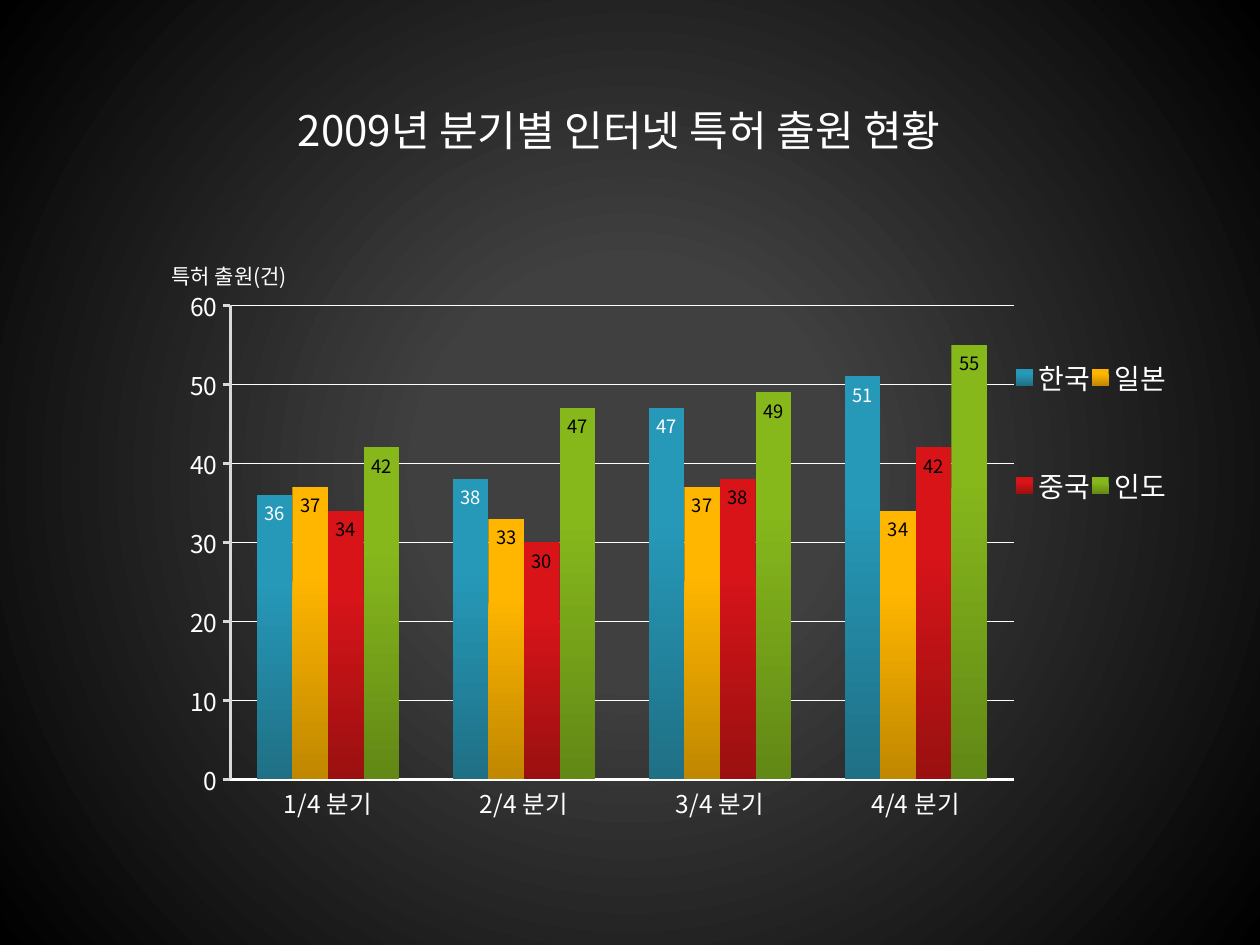
from dataclasses import dataclass

from lxml import etree
from pptx import Presentation
from pptx.chart.data import CategoryChartData
from pptx.dml.color import RGBColor
from pptx.enum.chart import (XL_CHART_TYPE, XL_LABEL_POSITION,
                             XL_LEGEND_POSITION, XL_TICK_MARK)
from pptx.enum.text import MSO_ANCHOR, PP_ALIGN
from pptx.oxml import parse_xml
from pptx.oxml.ns import nsdecls, qn
from pptx.util import Pt

CLUSTERED = XL_CHART_TYPE.COLUMN_CLUSTERED
INSIDE_END = XL_LABEL_POSITION.INSIDE_END
LEGEND_RIGHT = XL_LEGEND_POSITION.RIGHT
TICK_NONE, TICK_OUT = XL_TICK_MARK.NONE, XL_TICK_MARK.OUTSIDE
CENTER, TOP = PP_ALIGN.CENTER, MSO_ANCHOR.TOP


@dataclass(frozen=True)
class Theme:
    font: str = "Noto Sans CJK KR"
    white: str = "FFFFFF"
    black: str = "000000"
    glow: str = "404040"
    axis: str = "D9D9D9"
    title: float = 24
    chart: float = 18
    legend: float = 16
    tick: float = 14
    axis_title: float = 12
    label: float = 10.5


@dataclass(frozen=True)
class Country:
    name: str
    patents: tuple[int, ...]
    top: str
    bottom: str
    label: str


THEME = Theme()
QUARTERS = [f"{n}/4 분기" for n in range(1, 5)]
COUNTRIES = [
    Country("한국", (36, 38, 47, 51), "2699B9", "1F7085", THEME.white),
    Country("일본", (37, 33, 37, 34), "FFB600", "C08700", THEME.black),
    Country("중국", (34, 30, 38, 42), "D81419", "9A1010", THEME.black),
    Country("인도", (42, 47, 49, 55), "86B81C", "628816", THEME.black),
]


def rgb(color: str) -> RGBColor:
    return RGBColor.from_string(color)


def set_font(font, size: float, color: str = THEME.white) -> None:
    font.name, font.size, font.bold = THEME.font, Pt(size), False
    font.color.rgb = rgb(color)


def set_east_asian(root) -> None:
    """Give Korean text the same typeface as the Latin text."""
    for latin in list(root.iter(qn("a:latin"))):
        ea = etree.Element(qn("a:ea"), typeface=THEME.font)
        latin.addnext(ea)


def set_gradient(fill, stops: list[tuple[float, str]]) -> None:
    fill.gradient()
    for stop, (position, color) in zip(fill.gradient_stops, stops):
        stop.position, stop.color.rgb = position, rgb(color)


def set_line(line, color: str, width: float) -> None:
    line.color.rgb, line.width = rgb(color), Pt(width)


def set_layout(element, index: int, inner: bool = False, **box: float) -> None:
    """Place a chart part by fractions of the chart area."""
    for old in element.findall(qn("c:layout")):
        element.remove(old)
    target = '<c:layoutTarget val="inner"/>' if inner else ""
    modes = "".join(f'<c:{k}Mode val="edge"/>' for k in box if k in "xy")
    sizes = "".join(f'<c:{k} val="{v}"/>' for k, v in box.items())
    element.insert(index, parse_xml(
        f'<c:layout {nsdecls("c")}><c:manualLayout>{target}{modes}{sizes}'
        '</c:manualLayout></c:layout>'))


def draw_background(s) -> None:
    fill = s.background.fill
    set_gradient(fill, [(0.26, THEME.glow), (1, THEME.black)])
    lin = next(s.background._cSld.iter(qn("a:lin")))
    lin.getparent().replace(lin, parse_xml(
        f'<a:path {nsdecls("a")} path="circle">'
        '<a:fillToRect l="50000" t="50000" r="50000" b="50000"/></a:path>'))


def draw_title(s, text: str) -> None:
    sp = s.shapes.title
    sp.left, sp.top, sp.width, sp.height = Pt(134.6), Pt(56), Pt(438.5), Pt(65.5)
    tf = sp.text_frame
    tf.text, tf.word_wrap, tf.vertical_anchor = text, True, TOP
    p = tf.paragraphs[0]
    p.alignment = CENTER
    set_font(p.runs[0].font, THEME.title)
    set_east_asian(sp._element)


def style_axes(chart) -> None:
    cat, val = chart.category_axis, chart.value_axis
    for axis, color, tick in ((cat, THEME.white, TICK_NONE),
                              (val, THEME.axis, TICK_OUT)):
        set_line(axis.format.line, color, 1.75)
        set_font(axis.tick_labels.font, THEME.tick)
        axis.major_tick_mark, axis.minor_tick_mark = tick, TICK_NONE
    val.minimum_scale, val.maximum_scale, val.major_unit = 0, 60, 10
    val.has_major_gridlines = True
    set_line(val.major_gridlines.format.line, THEME.white, 0.75)

    # Horizontal axis title above the scale
    title = val.axis_title
    tf = title.text_frame
    tf.text = "특허 출원(건)"
    set_font(tf.paragraphs[0].runs[0].font, THEME.axis_title)
    body = next(title._element.iter(qn("a:bodyPr")))
    body.set("rot", "0")
    body.set("vert", "horz")
    set_layout(title._element, 1, x=0.01, y=0.12)


def style_series(series, country: Country) -> None:
    fill = series.format.fill
    set_gradient(fill, [(0.3, country.top), (1, country.bottom)])
    fill.gradient_angle = 270
    labels = series.data_labels
    labels.show_value, labels.position = True, INSIDE_END
    set_font(labels.font, THEME.label, country.label)


def draw_chart(s) -> None:
    data = CategoryChartData()
    data.categories = QUARTERS
    for country in COUNTRIES:
        data.add_series(country.name, country.patents)
    chart = s.shapes.add_chart(CLUSTERED, Pt(90), Pt(95.8), Pt(585.4),
                               Pt(407.5), data).chart
    set_font(chart.font, THEME.chart)
    chart.has_title = False

    # Columns
    plot = chart.plots[0]
    plot.gap_width, plot.overlap, plot.vary_by_categories = 150, 0, False
    for series, country in zip(plot.series, COUNTRIES):
        style_series(series, country)
    style_axes(chart)
    plot_area = next(chart._chartSpace.iter(qn("c:plotArea")))
    set_layout(plot_area, 0, inner=True, x=0.071, y=0.193, w=0.765, h=0.665)

    # Two-column legend
    chart.has_legend = True
    legend = chart.legend
    legend.position, legend.include_in_layout = LEGEND_RIGHT, False
    set_font(legend.font, THEME.legend)
    set_layout(legend._element, 1, x=0.836, y=0.17, w=0.15, h=0.4)
    set_east_asian(chart._chartSpace)


def main() -> None:
    prs = Presentation()
    prs.slide_width, prs.slide_height = Pt(720), Pt(540)
    s = prs.slides.add_slide(prs.slide_layouts[5])
    draw_background(s)
    draw_title(s, "2009년 분기별 인터넷 특허 출원 현황")
    draw_chart(s)
    prs.save("out.pptx")


if __name__ == "__main__":
    main()
